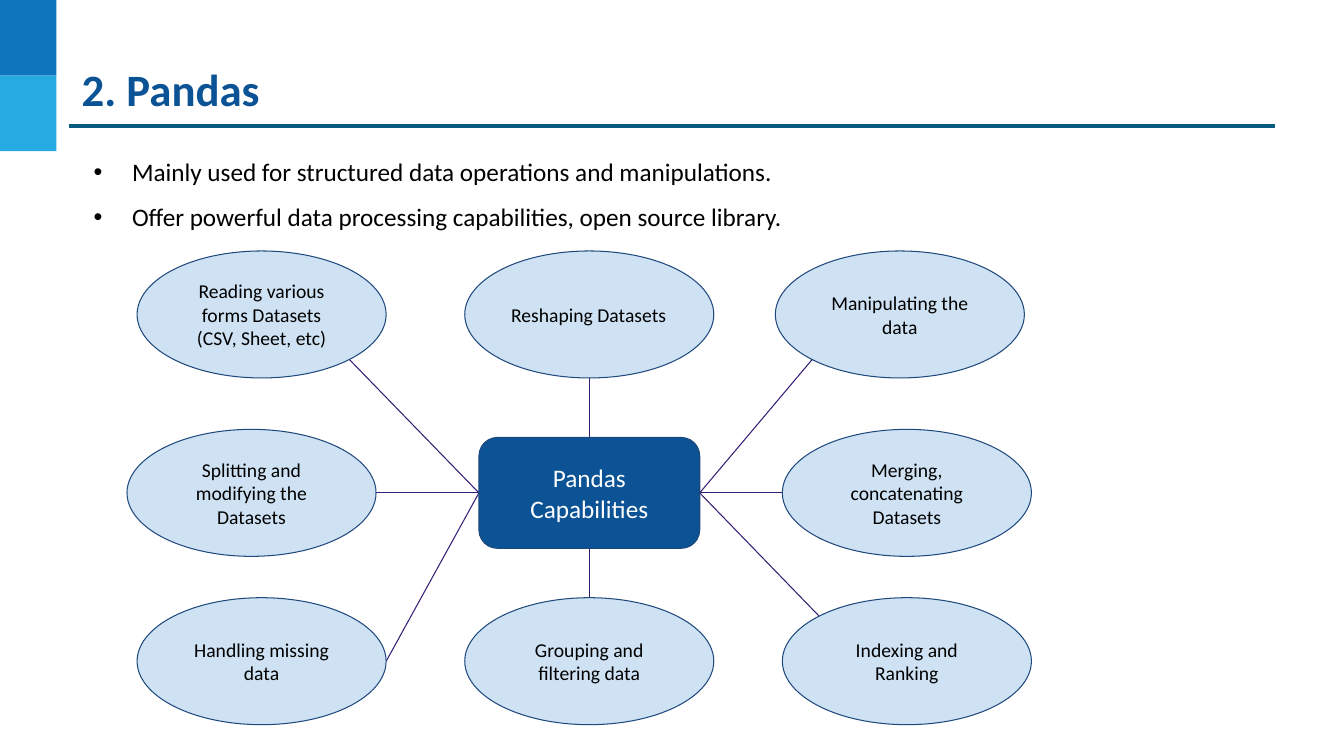
import pptx
import pptx.util
import pptx.dml.color
import pptx.enum.shapes
import pptx.enum.text
import lxml.etree

Inches, Pt = pptx.util.Inches, pptx.util.Pt
SHAPE = pptx.enum.shapes.MSO_SHAPE
ALIGN = pptx.enum.text.PP_ALIGN
ANCHOR = pptx.enum.text.MSO_ANCHOR
COLORS = {name: pptx.dml.color.RGBColor.from_string(value) for name, value in {
    "band": "0F75BD", "light_band": "25AAE2", "rule": "095A82", "navy": "0B5394",
    "outline": "1F497D", "pale": "CFE2F3", "link": "351C75",
    "black": "000000", "white": "FFFFFF"}.items()}

prs = pptx.Presentation()
prs.slide_width, prs.slide_height = Inches(13.33), Inches(7.5)
slide = prs.slides.add_slide(prs.slide_layouts[5])


def write(shape, paragraphs, size, color, inset, anchor, align, bold=False):
    """Fill the text frame of a shape with equally formatted paragraphs."""
    frame = shape.text_frame
    frame.word_wrap = True
    frame.auto_size = pptx.enum.text.MSO_AUTO_SIZE.NONE
    frame.vertical_anchor = anchor
    frame.margin_left = frame.margin_right = Inches(inset)
    frame.margin_top = frame.margin_bottom = Inches(inset)
    frame.text = "\n".join(paragraphs)
    for paragraph in frame.paragraphs:
        paragraph.alignment = align
        font = paragraph.runs[0].font
        font.name, font.size, font.bold = "Calibri", Pt(size), bold
        font.color.rgb = COLORS[color]


def add_line(start, end, color, width):
    line = slide.shapes.add_connector(
        pptx.enum.shapes.MSO_CONNECTOR.STRAIGHT, *map(Inches, start + end))
    line.line.color.rgb = COLORS[color]
    line.line.width = Pt(width)
    lxml.etree.SubElement(line._element.spPr, pptx.oxml.ns.qn("a:effectLst"))


# Side bands and title
for row, color in enumerate(("band", "light_band")):
    band = slide.shapes.add_shape(
        SHAPE.RECTANGLE, 0, Inches(0.75 * row), Inches(0.56), Inches(0.75))
    band.shadow.inherit = False
    band.fill.solid()
    band.fill.fore_color.rgb = COLORS[color]
    band.line.fill.background()
add_line((0.68, 1.25), (12.65, 1.25), "rule", 2.25)

title = slide.shapes.title
title.left, title.top = Inches(0.68), Inches(0.48)
title.width, title.height = Inches(11.97), Inches(0.54)
write(title, ["2. Pandas"], 32, "navy", 0.13, ANCHOR.TOP, ALIGN.LEFT, bold=True)

# Introduction
intro = slide.shapes.add_textbox(Inches(0.68), Inches(1.27), Inches(11.97), Inches(2.47))
write(intro, ["Mainly used for structured data operations and manipulations.",
              "Offer powerful data processing capabilities, open source library."],
      18, "black", 0.13, ANCHOR.TOP, ALIGN.LEFT)
for paragraph in intro.text_frame.paragraphs:
    paragraph.line_spacing = 1.5
    properties = paragraph._p.get_or_add_pPr()
    properties.set("marL", str(Inches(0.5)))
    properties.set("indent", str(Inches(-0.38)))
    bullet_font = lxml.etree.SubElement(properties, pptx.oxml.ns.qn("a:buFont"))
    bullet_font.set("typeface", "Arial")
    bullet = lxml.etree.SubElement(properties, pptx.oxml.ns.qn("a:buChar"))
    bullet.set("char", "•")
intro.text_frame.paragraphs[0].space_before = Pt(6.4)

# Capabilities: label, left, top, link point as fractions of the ellipse, side of the hub
WIDTH, HEIGHT = 2.47, 1.26
TOP, MIDDLE, BOTTOM = 2.49, 4.26, 5.93
NEAR, FAR = 0.15, 0.85  # diagonal points of an ellipse
HUB_LEFT, HUB_TOP, HUB_WIDTH, HUB_HEIGHT = 4.75, 4.34, 2.19, 1.1
hub_sides = {
    "left": (HUB_LEFT, HUB_TOP + HUB_HEIGHT / 2),
    "right": (HUB_LEFT + HUB_WIDTH, HUB_TOP + HUB_HEIGHT / 2),
    "top": (HUB_LEFT + HUB_WIDTH / 2, HUB_TOP),
    "bottom": (HUB_LEFT + HUB_WIDTH / 2, HUB_TOP + HUB_HEIGHT)}
capabilities = [
    ("Reading various forms Datasets (CSV, Sheet, etc)", 1.36, TOP, (FAR, FAR), "left"),
    ("Splitting and modifying the Datasets", 1.26, MIDDLE, (1, 0.5), "left"),
    ("Handling missing data", 1.36, BOTTOM, (1, 0.5), "left"),
    ("Reshaping Datasets", 4.61, TOP, (0.5, 1), "top"),
    ("Grouping and filtering data", 4.61, BOTTOM, (0.5, 0), "bottom"),
    ("Manipulating the data", 7.69, TOP, (NEAR, FAR), "right"),
    ("Merging, concatenating Datasets", 7.76, MIDDLE, (0, 0.5), "right"),
    ("Indexing and Ranking", 7.76, BOTTOM, (NEAR, NEAR), "right")]

nodes = [("Pandas Capabilities", SHAPE.ROUNDED_RECTANGLE,
          (HUB_LEFT, HUB_TOP, HUB_WIDTH, HUB_HEIGHT), "navy", 18, "white")]
for label, left, top, link, side in capabilities:
    nodes.append((label, SHAPE.OVAL, (left, top, WIDTH, HEIGHT), "pale", 14, "black"))
    add_line(hub_sides[side], (left + link[0] * WIDTH, top + link[1] * HEIGHT), "link", 0.75)

for label, kind, box, fill, size, color in nodes:
    node = slide.shapes.add_shape(kind, *map(Inches, box))
    node.shadow.inherit = False
    node.fill.solid()
    node.fill.fore_color.rgb = COLORS[fill]
    node.line.color.rgb = COLORS["outline"]
    node.line.width = Pt(0.75)
    align = ALIGN.LEFT if label == "Reshaping Datasets" else ALIGN.CENTER
    write(node, [label], size, color, 0.1, ANCHOR.MIDDLE, align)

prs.save("out.pptx")
